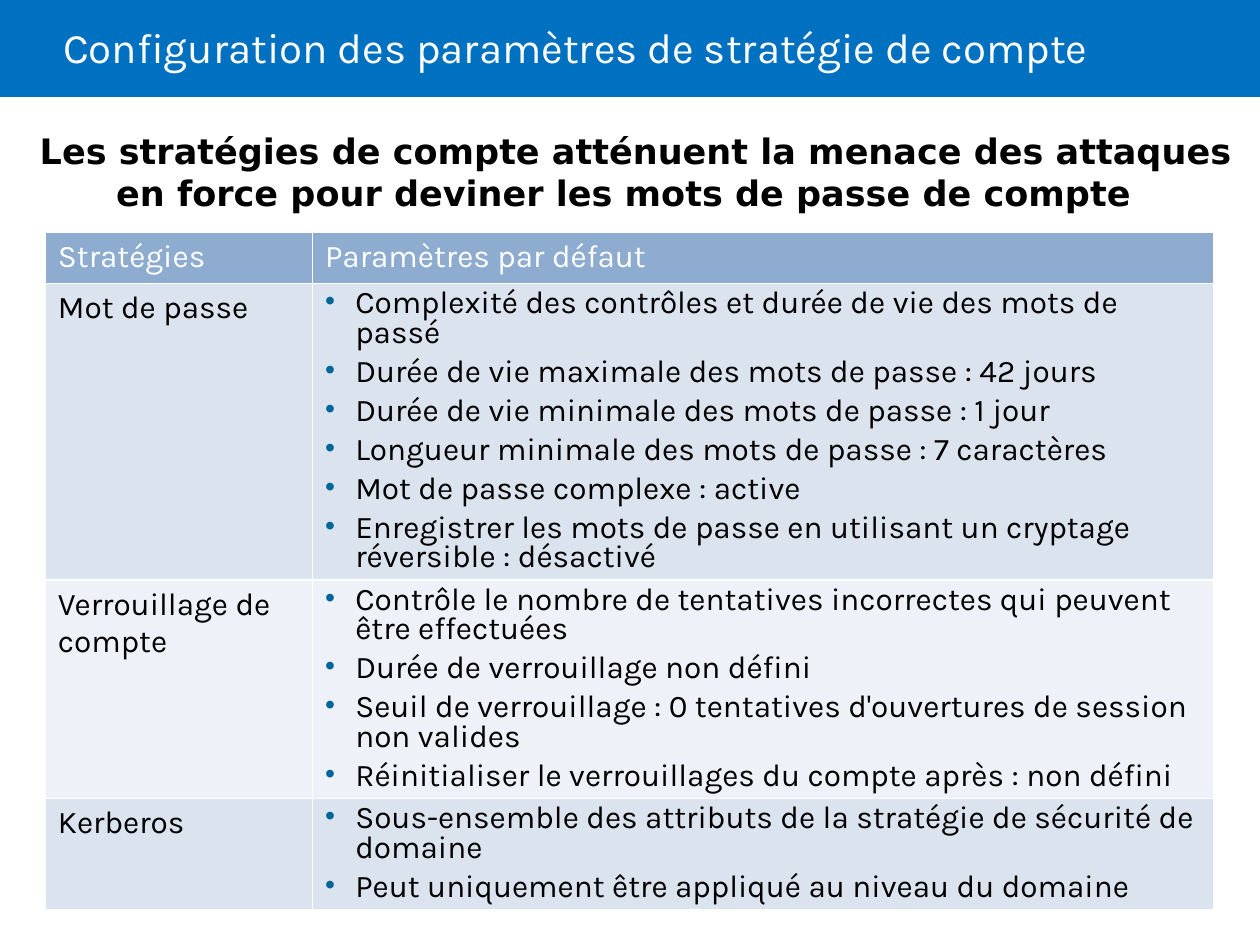
"""Build the slide on default account policy settings."""
from dataclasses import dataclass

import lxml.etree
import pptx
import pptx.dml.color
import pptx.enum.shapes
import pptx.enum.text
import pptx.oxml.ns
import pptx.util

SLIDE_WIDTH = pptx.util.Inches(10)
SLIDE_HEIGHT = pptx.util.Inches(7.5)
BODY_FONT = "Karla"
HEADING_FONT = "DejaVu Sans"
BLUE, WHITE, BLACK = "0070C0", "FFFFFF", "000000"
HEADER_FILL, BULLET_COLOUR = "8DACD0", "006699"
BAND_FILLS = ("DBE3EE", "EEF1F7")
TABLE_SIZE = 18


@dataclass(frozen=True)
class Area:
    """A rectangle given in shares of the slide's width and height."""
    left: float
    top: float
    width: float
    height: float

    def lengths(self) -> tuple[int, int, int, int]:
        """Return left, top, width and height as slide lengths."""
        return (int(self.left * SLIDE_WIDTH), int(self.top * SLIDE_HEIGHT),
                int(self.width * SLIDE_WIDTH), int(self.height * SLIDE_HEIGHT))


@dataclass(frozen=True)
class Policy:
    """One policy, its default settings and its share of the slide's height."""
    name: str
    settings: tuple[str, ...]
    height: float


BANNER = Area(0, 0, 1, 0.77 / 7.5)
TITLE = Area(0.05, 0, 0.85, 0.81 / 7.5)
MESSAGE = Area(0, 0.92 / 7.5, 1, 0.88 / 7.5)
TABLE = Area(0.036, 1.84 / 7.5, 0.927, 5.36 / 7.5)
COLUMN_SHARES = (0.212, 0.715)
HEADER_HEIGHT = 0.41 / 7.5
HEADINGS = ("Stratégies", "Paramètres par défaut")
POLICIES = (
    Policy("Mot de passe", (
        "Complexité des contrôles et durée de vie des mots de passé",
        "Durée de vie maximale des mots de passe : 42 jours",
        "Durée de vie minimale des mots de passe : 1 jour",
        "Longueur minimale des mots de passe : 7 caractères",
        "Mot de passe complexe : active",
        "Enregistrer les mots de passe en utilisant un cryptage réversible : désactivé",
    ), 2.35 / 7.5),
    Policy("Verrouillage de compte", (
        "Contrôle le nombre de tentatives incorrectes qui peuvent être effectuées",
        "Durée de verrouillage non défini",
        "Seuil de verrouillage : 0 tentatives d'ouvertures de session non valides",
        "Réinitialiser le verrouillages du compte après : non défini",
    ), 1.73 / 7.5),
    Policy("Kerberos", (
        "Sous-ensemble des attributs de la stratégie de sécurité de domaine",
        "Peut uniquement être appliqué au niveau du domaine",
    ), 0.87 / 7.5),
)


def colour(value: str) -> pptx.dml.color.RGBColor:
    """Turn a hex string into a colour."""
    return pptx.dml.color.RGBColor.from_string(value)


def add_node(parent, tag: str, **attributes: str):
    """Append an XML element with the given attributes."""
    return lxml.etree.SubElement(parent, pptx.oxml.ns.qn(tag), attributes)


def write(paragraph, words: str, size: float, tint: str,
          font: str = BODY_FONT, bold: bool = False) -> None:
    """Add one formatted run to a paragraph."""
    run = paragraph.add_run()
    run.text = words
    run.font.name = font
    run.font.size = pptx.util.Pt(size)
    run.font.bold = bold
    run.font.color.rgb = colour(tint)


def format_bullet(paragraph) -> None:
    """Give a paragraph its bullet, hanging indent and tight spacing."""
    paragraph.line_spacing = 0.8
    paragraph.space_before = pptx.util.Pt(0.3 * TABLE_SIZE)
    properties = paragraph._p.get_or_add_pPr()
    indent = pptx.util.Inches(0.24)
    properties.set("marL", str(indent))
    properties.set("indent", str(-indent))
    add_node(add_node(properties, "a:buClr"), "a:srgbClr", val=BULLET_COLOUR)
    add_node(properties, "a:buSzPct", val="90000")
    add_node(properties, "a:buFont", typeface="Arial")
    add_node(properties, "a:buChar", char="•")


def format_cell(cell, fill: str) -> None:
    """Give a cell white borders and a plain fill."""
    properties = cell._tc.get_or_add_tcPr()
    for side in ("a:lnL", "a:lnR", "a:lnT", "a:lnB"):
        border = add_node(properties, side, w=str(pptx.util.Pt(1)))
        add_node(add_node(border, "a:solidFill"), "a:srgbClr", val=WHITE)
    cell.fill.solid()
    cell.fill.fore_color.rgb = colour(fill)


def add_title(slide) -> None:
    """Draw the banner behind the title and fill in the title."""
    banner = slide.shapes.add_shape(
        pptx.enum.shapes.MSO_SHAPE.RECTANGLE, *BANNER.lengths())
    banner.shadow.inherit = False
    banner.fill.solid()
    banner.fill.fore_color.rgb = colour(BLUE)
    banner.line.fill.background()
    slide.shapes.element.insert(2, banner.element)

    title = slide.shapes.title
    title.left, title.top, title.width, title.height = TITLE.lengths()
    frame = title.text_frame
    frame.margin_left = 0
    frame.auto_size = pptx.enum.text.MSO_AUTO_SIZE.NONE
    frame.vertical_anchor = pptx.enum.text.MSO_ANCHOR.MIDDLE
    heading = frame.paragraphs[0]
    heading.alignment = pptx.enum.text.PP_ALIGN.LEFT
    heading.line_spacing = 0.85
    write(heading, "Configuration des paramètres de stratégie de compte", 24, WHITE)


def add_message(slide) -> None:
    """Draw the key message under the banner."""
    message = slide.shapes.add_shape(
        pptx.enum.shapes.MSO_SHAPE.ROUNDED_RECTANGLE, *MESSAGE.lengths())
    message.adjustments[0] = 0.06
    message.shadow.inherit = False
    message.fill.background()
    message.line.fill.background()
    frame = message.text_frame
    frame.word_wrap = True
    frame.vertical_anchor = pptx.enum.text.MSO_ANCHOR.MIDDLE
    sentence = frame.paragraphs[0]
    sentence.alignment = pptx.enum.text.PP_ALIGN.CENTER
    write(sentence, " Les stratégies de compte atténuent la menace des attaques "
          "en force pour deviner les mots de passe de compte ",
          20, BLACK, HEADING_FONT, True)


def add_policies(slide) -> None:
    """Draw the table of policies and their default settings."""
    table = slide.shapes.add_table(
        len(POLICIES) + 1, len(HEADINGS), *TABLE.lengths()).table
    for column, share in zip(table.columns, COLUMN_SHARES):
        column.width = int(share * SLIDE_WIDTH)
    table.rows[0].height = int(HEADER_HEIGHT * SLIDE_HEIGHT)
    for cell, heading in zip(table.rows[0].cells, HEADINGS):
        format_cell(cell, HEADER_FILL)
        write(cell.text_frame.paragraphs[0], heading, TABLE_SIZE, WHITE)

    for index, policy in enumerate(POLICIES):
        row = table.rows[index + 1]
        row.height = int(policy.height * SLIDE_HEIGHT)
        name_cell, settings_cell = row.cells
        for cell in (name_cell, settings_cell):
            format_cell(cell, BAND_FILLS[index % len(BAND_FILLS)])
        write(name_cell.text_frame.paragraphs[0], policy.name, TABLE_SIZE, BLACK)
        frame = settings_cell.text_frame
        for position, setting in enumerate(policy.settings):
            paragraph = frame.add_paragraph() if position else frame.paragraphs[0]
            format_bullet(paragraph)
            write(paragraph, setting, TABLE_SIZE, BLACK)


def main() -> None:
    """Build and save the presentation."""
    presentation = pptx.Presentation()
    presentation.slide_width = SLIDE_WIDTH
    presentation.slide_height = SLIDE_HEIGHT
    slide = presentation.slides.add_slide(presentation.slide_layouts[5])
    add_title(slide)
    add_message(slide)
    add_policies(slide)
    presentation.save("out.pptx")


if __name__ == "__main__":
    main()
